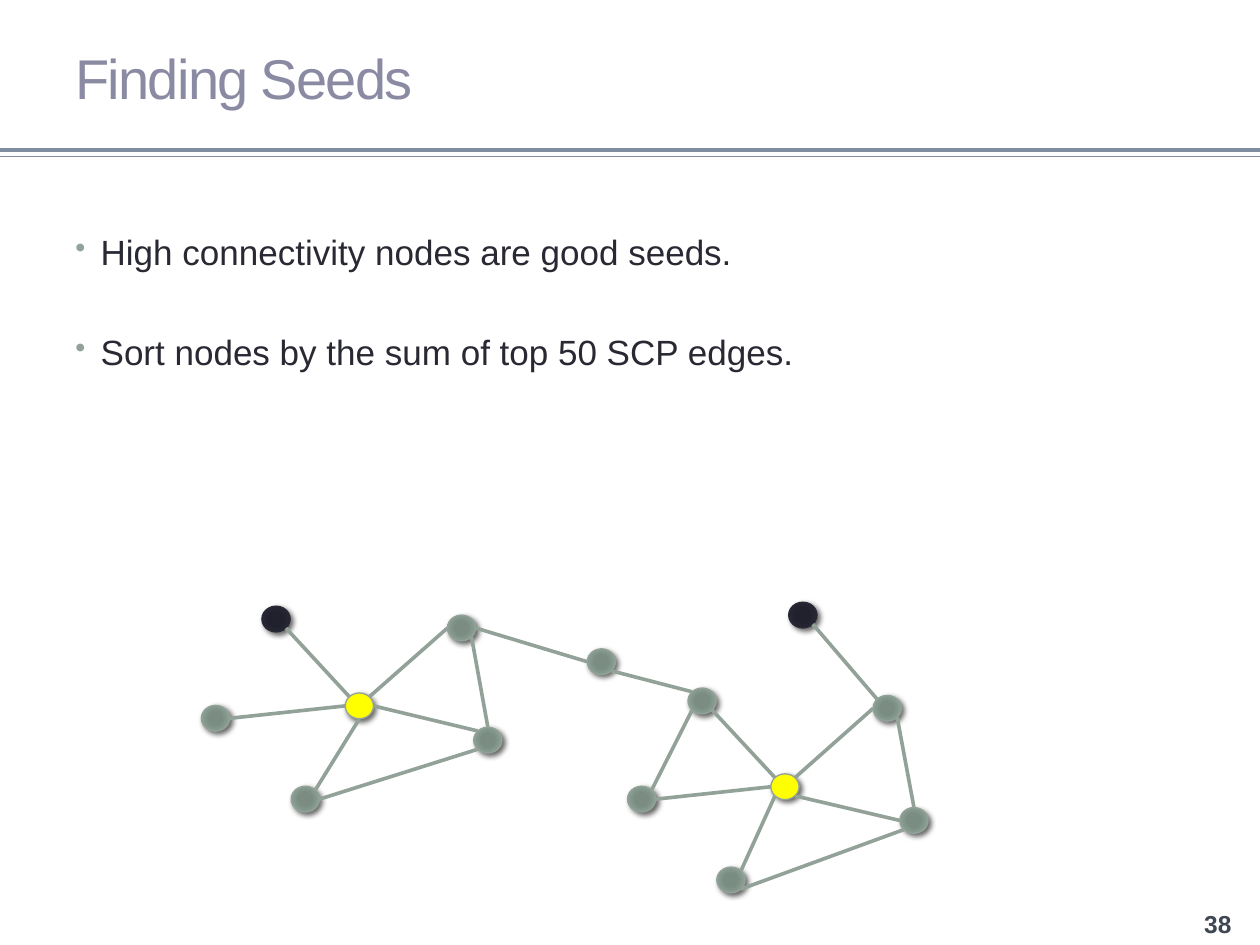
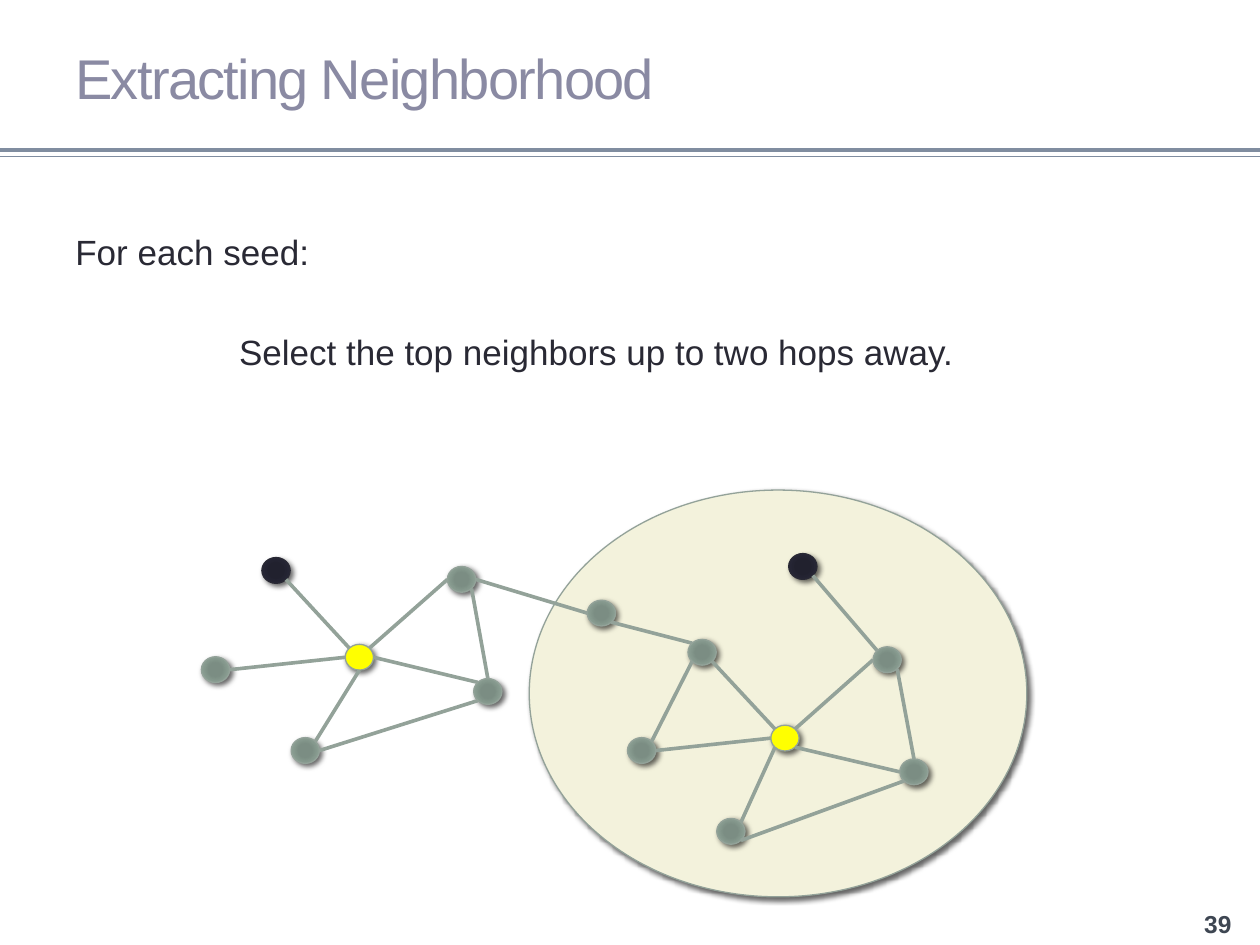
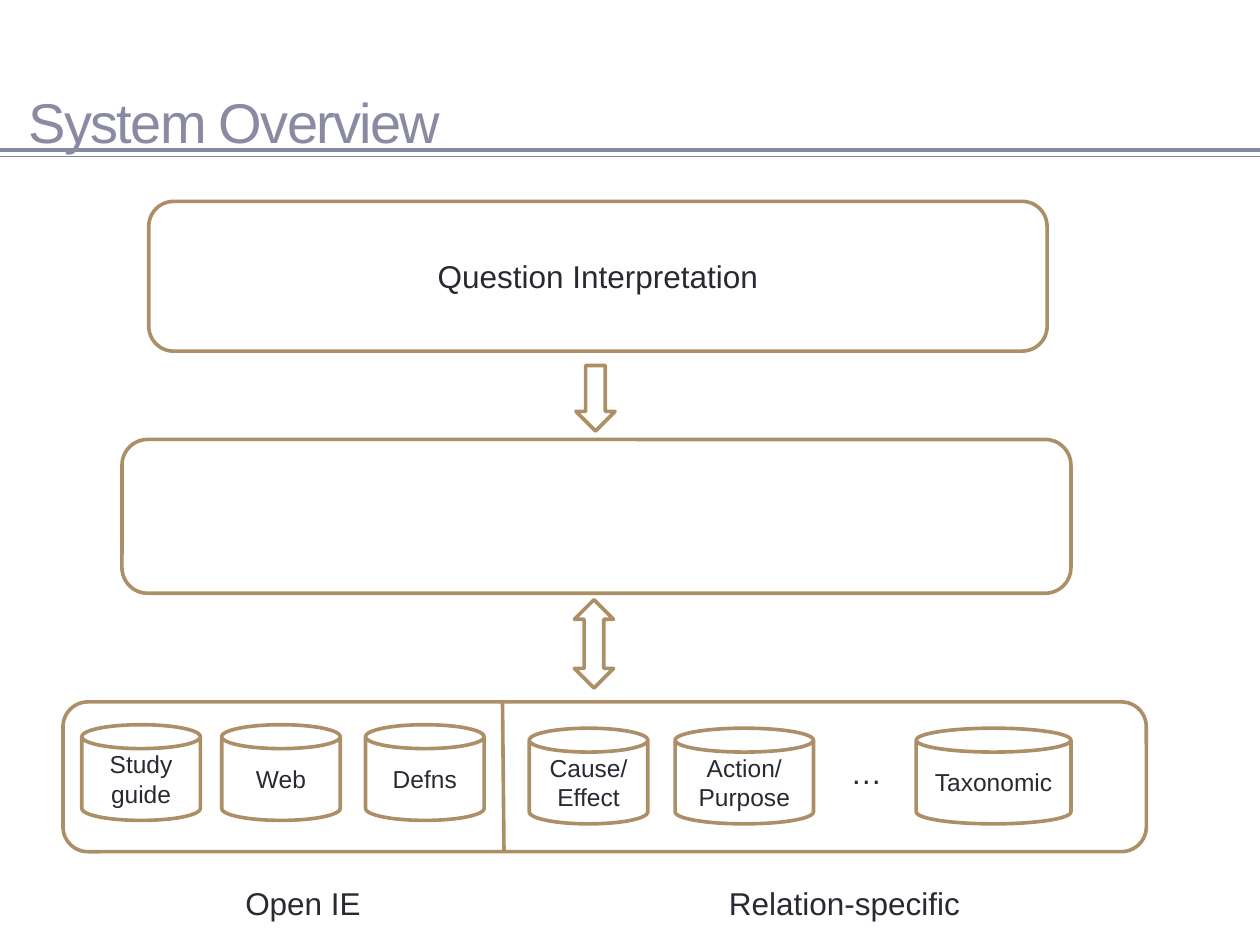
from dataclasses import dataclass
from math import cos, radians, sin

from lxml.etree import SubElement
from pptx import Presentation
from pptx.dml.color import RGBColor
from pptx.enum.shapes import MSO_CONNECTOR as Link, MSO_SHAPE as Shape
from pptx.enum.text import MSO_ANCHOR as Anchor, PP_ALIGN as Align
from pptx.oxml import parse_xml
from pptx.oxml.ns import nsdecls, qn
from pptx.util import Cm, Pt


@dataclass(frozen=True)
class Theme:
    font: str = "Arial"
    ink: str = "292934"
    heading: str = "8A8AA3"
    rule: str = "808DA0"
    number: str = "3E4652"
    sage: str = "93A299"
    seed: str = "FFFF00"
    halo: str = "F3F2DC"
    tan: str = "AD8F67"
    white: str = "FFFFFF"
    sage_glow: tuple = ("7B8E82", "7B8D83", "8A9E92", "93A299")
    ink_glow: tuple = ("21212F", "21212E", "252534", "292934")
    glow_stops: tuple = (0, 34, 70, 100)
    title_size: int = 32
    body_size: int = 20
    label_size: int = 18
    small_size: int = 14
    thin: float = 0.75
    thick: float = 2.08


TITLE_AREA = (1.27, 0.18, 22.86, 2.74)
NODE_WIDTH, NODE_HEIGHT = 0.57, 0.52
NEIGHBORHOOD_LIFT = 0.98

NODES = {
    "A": ("outlier", 5.28, 12.22),
    "B": ("member", 4.06, 14.22),
    "C": ("seed", 6.96, 13.97),
    "D": ("member", 9.02, 12.4),
    "E": ("member", 9.55, 14.66),
    "F": ("member", 11.84, 13.08),
    "G": ("member", 5.87, 15.85),
    "H": ("outlier", 15.9, 12.14),
    "I": ("member", 13.87, 13.87),
    "J": ("member", 12.65, 15.85),
    "K": ("seed", 15.54, 15.6),
    "L": ("member", 17.6, 14.02),
    "M": ("member", 18.14, 16.28),
    "N": ("member", 14.45, 17.48),
}
COMPASS = {"E": 0, "SE": 45, "S": 90, "SW": 135, "W": 180, "NW": 225, "N": 270, "NE": 315}
EDGES = [
    "C NW A SE", "B E C W", "G NE C S", "C NE D W", "C E E NW", "D E F W",
    "J NE I SW", "J E K W", "N NE K SW", "K NE L W", "F SE I NW", "G E E SW",
    "D SE E N", "I SE K NW", "K SE M W", "N SE M SW", "H SE L NW", "L SE M N",
]


class Deck:
    def __init__(self, theme):
        self.theme = theme
        self.deck = Presentation()
        self.deck.slide_width, self.deck.slide_height = Cm(25.4), Cm(19.05)
        self.page = None

    def add_page(self, title, area=TITLE_AREA, number=None):
        theme = self.theme
        self.page = self.deck.slides.add_slide(self.deck.slide_layouts[6])
        for height, width in ((3.02, theme.thick), (3.15, theme.thin)):
            self.line((0, height), (25.4, height), theme.rule, width)
        box = self.text([title], area, theme.title_size, theme.heading,
                        anchor=Anchor.MIDDLE)
        span = box.text_frame.paragraphs[0].runs[0]
        span.font._element.set("spc", "-100")
        if number:
            self.text([number], (23.7, 18.16, 1.7, 0.91), theme.small_size, theme.number,
                      Align.CENTER, Anchor.MIDDLE, bold=True)

    def fill_text(self, box, lines, size, color, align, anchor, bold=False):
        frame = box.text_frame
        frame.word_wrap = True
        frame.vertical_anchor = anchor
        frame.text = "\n".join(lines)
        for para in frame.paragraphs:
            para.alignment = align
            for span in para.runs:
                span.font.name = self.theme.font
                span.font.size = Pt(size)
                span.font.bold = bold
                span.font.color.rgb = RGBColor.from_string(color)

    def text(self, lines, area, size, color, align=Align.LEFT, anchor=Anchor.TOP, bold=False):
        box = self.page.shapes.add_textbox(*map(Cm, area))
        self.fill_text(box, lines, size, color, align, anchor, bold)
        return box

    def label(self, line, area):
        self.text([line], area, self.theme.label_size, self.theme.ink, Align.CENTER)

    def body(self, lines, height, indents, bullets=False):
        box = self.text(lines, (1.27, 4.45, 22.86, height), self.theme.body_size, self.theme.ink)
        box.text_frame.margin_top = Cm(0.2)
        for index, (para, indent) in enumerate(zip(box.text_frame.paragraphs, indents)):
            if index:
                para.space_before = Pt(33)
            properties = para._p.get_or_add_pPr()
            properties.set("marL", str(Cm(indent)))
            properties.set("indent", str(-Cm(indent) if bullets else 0))
            if bullets:
                tint = SubElement(properties, qn("a:buClr"))
                SubElement(tint, qn("a:srgbClr"), val=self.theme.sage)
                SubElement(properties, qn("a:buSzPct"), val="85000")
                SubElement(properties, qn("a:buChar"), char="•")

    def line(self, start, end, color, width):
        link = self.page.shapes.add_connector(Link.STRAIGHT, *map(Cm, (*start, *end)))
        link.line.color.rgb = RGBColor.from_string(color)
        link.line.width = Pt(width)
        SubElement(link._element.spPr, qn("a:effectLst"))

    def shape(self, kind, area, fill, outline, width):
        item = self.page.shapes.add_shape(kind, *map(Cm, area))
        item.shadow.inherit = False
        item.line.color.rgb = RGBColor.from_string(outline)
        item.line.width = Pt(width)
        if isinstance(fill, tuple):
            self.glow(item, fill)
        else:
            item.fill.solid()
            item.fill.fore_color.rgb = RGBColor.from_string(fill)
        return item

    def glow(self, item, colors):
        stops = "".join(
            f'<a:gs pos="{stop * 1000}"><a:srgbClr val="{color}"/></a:gs>'
            for stop, color in zip(self.theme.glow_stops, colors))
        gradient = parse_xml(
            f'<a:gradFill {nsdecls("a")} rotWithShape="1"><a:gsLst>{stops}</a:gsLst>'
            '<a:path path="circle"><a:fillToRect l="100000" t="100000" r="100000" b="100000"/>'
            '</a:path></a:gradFill>')
        item._element.spPr.find(qn("a:prstGeom")).addnext(gradient)

    def ellipse(self, area, fill, outline):
        item = self.shape(Shape.OVAL, area, fill, outline, self.theme.thin)
        effects = item._element.spPr.find(qn("a:effectLst"))
        shadow = SubElement(effects, qn("a:outerShdw"), blurRad=str(Pt(3)), dist=str(Pt(2)),
                            dir="2700000", rotWithShape="0")
        color = SubElement(shadow, qn("a:srgbClr"), val="000000")
        SubElement(color, qn("a:alpha"), val="60000")

    def block(self, kind, area, lines=(), size=None):
        item = self.shape(kind, area, self.theme.white, self.theme.tan, self.theme.thick)
        if lines:
            self.fill_text(item, lines, size, self.theme.ink, Align.CENTER, Anchor.MIDDLE)

    def graph(self, lift=0):
        theme = self.theme
        looks = {
            "member": (theme.sage_glow, theme.sage),
            "outlier": (theme.ink_glow, theme.ink),
            "seed": (theme.seed, theme.sage),
        }
        for role, left, top in NODES.values():
            self.ellipse((left, top - lift, NODE_WIDTH, NODE_HEIGHT), *looks[role])
        for edge in EDGES:
            first, leaving, second, entering = edge.split()
            self.line(rim(first, leaving, lift), rim(second, entering, lift),
                      theme.sage, theme.thick)


def rim(node, side, lift):
    _, left, top = NODES[node]
    angle = radians(COMPASS[side])
    return (left + NODE_WIDTH / 2 * (1 + cos(angle)),
            top - lift + NODE_HEIGHT / 2 * (1 + sin(angle)))


def finding_seeds(deck):
    deck.add_page("Finding Seeds", number="38")
    deck.body(["High connectivity nodes are good seeds.",
               "Sort nodes by the sum of top 50 SCP edges."],
              6.17, (0.51, 0.51), bullets=True)
    deck.graph()


def extracting_neighborhood(deck):
    deck.add_page("Extracting Neighborhood", number="39")
    deck.body(["For each seed:", "Select the top neighbors up to two hops away."],
              13.54, (0, 3.3))
    deck.ellipse((10.67, 9.88, 10.03, 8.2), deck.theme.halo, deck.theme.sage)
    deck.graph(NEIGHBORHOOD_LIFT)


def system_overview(deck):
    theme = deck.theme
    deck.add_page("System Overview", (0.33, 1.32, 24.28, 2.26))
    deck.block(Shape.DOWN_ARROW, (11.61, 7.37, 0.79, 1.32))
    deck.block(Shape.ROUNDED_RECTANGLE, (2.46, 8.86, 19.13, 3.1))
    deck.block(Shape.ROUNDED_RECTANGLE, (3, 4.06, 18.11, 3.02),
               ["Question Interpretation"], theme.label_size)
    deck.block(Shape.ROUNDED_RECTANGLE, (1.27, 14.15, 21.84, 3.02))
    stores = [
        (1.65, 14.61, 2.39, ["Study", "guide"]),
        (4.47, 14.61, 2.39, ["Web"]),
        (7.37, 14.61, 2.39, ["Defns"]),
        (10.67, 14.68, 2.39, ["Cause/Effect"]),
        (13.61, 14.68, 2.79, ["Action/Purpose"]),
        (18.47, 14.68, 3.12, ["Taxonomic"]),
    ]
    for left, top, width, lines in stores:
        deck.block(Shape.CAN, (left, top, width, 1.93), lines, theme.small_size)
    deck.label("…", (16.08, 15.06, 2.77, 1.02))
    deck.block(Shape.UP_DOWN_ARROW, (11.58, 12.09, 0.79, 1.78))
    deck.label("Open IE", (2.95, 17.7, 6.32, 1.02))
    deck.label("Relation-specific", (12.95, 17.7, 8.15, 1.02))
    deck.line((10.13, 14.15), (10.16, 17.17), theme.tan, theme.thick)


def main():
    deck = Deck(Theme())
    finding_seeds(deck)
    extracting_neighborhood(deck)
    system_overview(deck)
    deck.deck.save("out.pptx")


if __name__ == "__main__":
    main()
